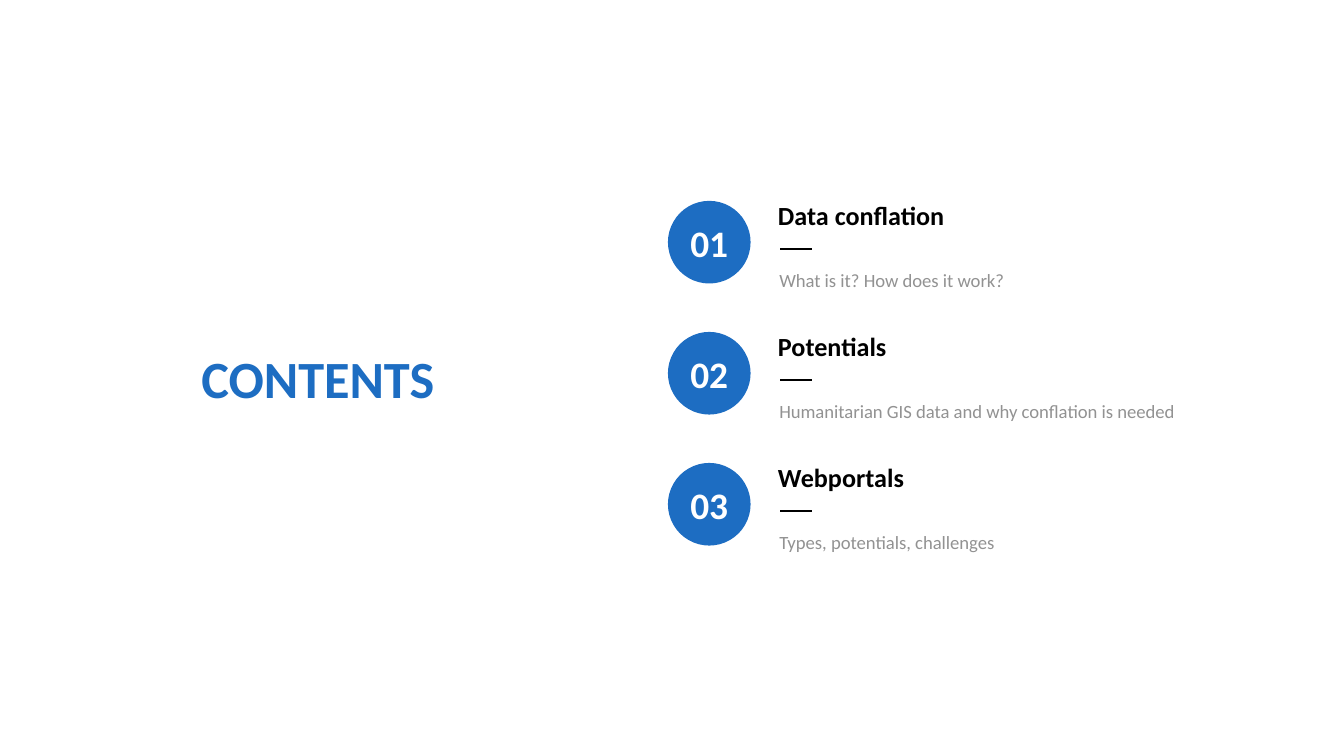
from dataclasses import dataclass

from lxml.etree import SubElement
from pptx import Presentation
from pptx.dml.color import RGBColor
from pptx.enum.shapes import MSO_CONNECTOR as Connector, MSO_SHAPE as Shape
from pptx.enum.text import MSO_ANCHOR as Anchor, MSO_AUTO_SIZE as AutoSize, PP_ALIGN as Align
from pptx.oxml.ns import qn
from pptx.shapes.autoshape import Shape as Box
from pptx.slide import Slide
from pptx.util import Emu, Pt

BLUE = RGBColor(0x1D, 0x6D, 0xC2)
GREY = RGBColor(0x92, 0x92, 0x92)
BLACK = RGBColor(0, 0, 0)
WHITE = RGBColor(255, 255, 255)

FONT = "Calibri"
EMU_PER_PX = 4572
FIRST_TOP = 287
ROW_PITCH = 195
BADGE_SIZE = 123


@dataclass(frozen=True)
class Topic:
    title: str
    title_width: int
    detail: str
    detail_width: int = 654


TOPICS = [
    Topic("Data conflation", 288, "What is it? How does it work?"),
    Topic("Potentials", 202, "Humanitarian GIS data and why conflation is needed"),
    Topic("Webportals", 228, "Types, potentials, challenges", 768),
]


def px(count: int) -> Emu:
    return Emu(count * EMU_PER_PX)


def write_text(box: Box, text: str, *, size: int, color: RGBColor, bold: bool = False,
               align: Align = Align.LEFT, wrap: bool = False,
               line_spacing: float = 1.0) -> None:
    frame = box.text_frame
    frame.word_wrap = wrap
    para = frame.paragraphs[0]
    para.alignment = align
    para.line_spacing = line_spacing
    span = para.add_run()
    span.text = text
    span.font.name = FONT
    span.font.size = Pt(size)
    span.font.bold = bold
    span.font.color.rgb = color


def add_text_box(page: Slide, left: int, top: int, width: int, height: int) -> Box:
    box = page.shapes.add_textbox(px(left), px(top), px(width), px(height))
    box.text_frame.auto_size = AutoSize.SHAPE_TO_FIT_TEXT
    return box


def draw_badge(page: Slide, number: int, top: int) -> None:
    badge = page.shapes.add_shape(Shape.OVAL, px(994), px(top), px(BADGE_SIZE), px(BADGE_SIZE))
    badge.shadow.inherit = False
    badge.fill.solid()
    badge.fill.fore_color.rgb = BLUE
    badge.line.fill.background()
    badge.text_frame.vertical_anchor = Anchor.MIDDLE
    write_text(badge, f"{number:02}", size=20, color=WHITE, bold=True, align=Align.CENTER)


def draw_rule(page: Slide, top: int) -> None:
    rule = page.shapes.add_connector(Connector.STRAIGHT, px(1161), px(top), px(1208), px(top))
    rule.line.color.rgb = BLACK
    rule.line.width = Pt(1)
    SubElement(rule.element.spPr, qn("a:effectLst"))


def draw_topic(page: Slide, topic: Topic, number: int, top: int) -> None:
    detail = add_text_box(page, 1140, top + 87, topic.detail_width, 70)
    write_text(detail, topic.detail, size=10, color=GREY, wrap=True, line_spacing=1.5)
    title = add_text_box(page, 1138, top, topic.title_width, 68)
    write_text(title, topic.title, size=14, color=BLACK, bold=True)
    draw_rule(page, top + 84)
    draw_badge(page, number, top + 12)


def main() -> None:
    deck = Presentation()
    deck.slide_width = px(2000)
    deck.slide_height = px(1125)
    page = deck.slides.add_slide(deck.slide_layouts[6])
    heading = add_text_box(page, 280, 506, 386, 114)
    write_text(heading, "CONTENTS", size=28, color=BLUE, bold=True, align=Align.CENTER)
    for index, topic in enumerate(TOPICS):
        draw_topic(page, topic, index + 1, FIRST_TOP + index * ROW_PITCH)
    deck.save("out.pptx")


if __name__ == "__main__":
    main()
